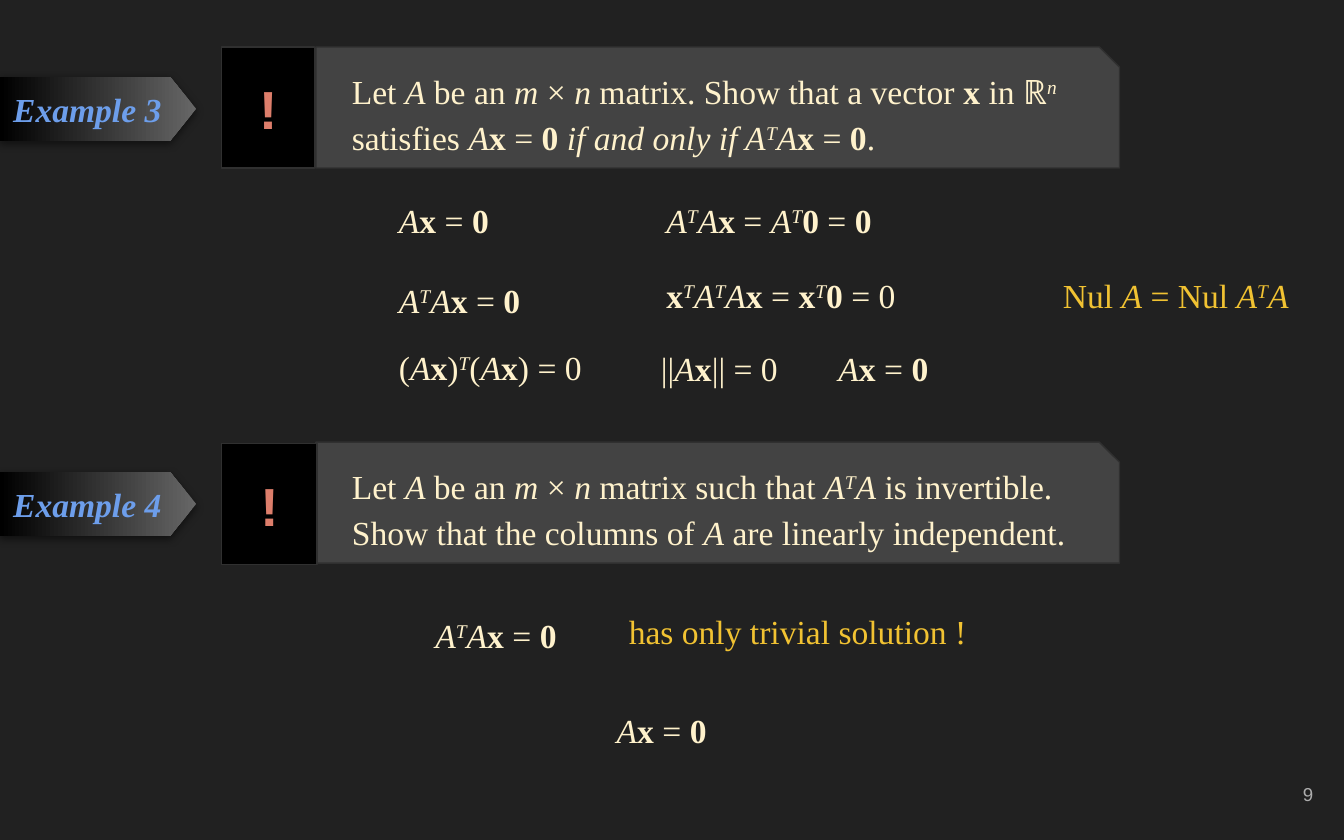
from dataclasses import dataclass
from typing import NamedTuple

import lxml.etree
import pptx
import pptx.dml.color
import pptx.enum.shapes
import pptx.enum.text
import pptx.oxml.ns
import pptx.util

Inches = pptx.util.Inches
Pt = pptx.util.Pt
qn = pptx.oxml.ns.qn
Shapes = pptx.enum.shapes.MSO_SHAPE
Align = pptx.enum.text.PP_ALIGN
Anchor = pptx.enum.text.MSO_ANCHOR

COLORS = {
    "background": "212121",
    "panel": "434343",
    "outline": "303030",
    "black": "000000",
    "tag_tip": "666666",
    "tag_text": "6D9EEB",
    "badge_text": "DD7E6B",
    "body": "FFF2CC",
    "highlight": "F1C232",
    "number": "ADADAD",
}
SERIF = "Times New Roman"


class Run(NamedTuple):
    text: str
    bold: bool = False
    italic: bool = False
    raised: bool = False


class Box(NamedTuple):
    left: float
    top: float
    width: float
    height: float


@dataclass
class Style:
    size: float = 18
    font: str = SERIF
    color: str = "body"
    align: Align = Align.LEFT
    anchor: Anchor = Anchor.TOP
    line_spacing: float = 1.0


@dataclass
class Example:
    label: str
    top: float
    badge: Box
    statement: list[Run]


@dataclass
class Note:
    box: Box
    runs: list[Run]
    color: str = "body"


A = Run("A", italic=True)
T = Run("T", italic=True, raised=True)
X = Run("x", bold=True)
ZERO = Run("0", bold=True)
EQUALS = Run(" = ")
AX_ZERO = [A, X, EQUALS, ZERO]
ATAX_ZERO = [A, T, *AX_ZERO]
MATRIX_INTRO = [
    Run("Let "), A, Run(" be an "), Run("m", italic=True), Run(" × "), Run("n ", italic=True),
]

EXAMPLES = [
    Example("Example 3", 0.35, Box(1.65, 0.35, 0.69, 0.9), [
        *MATRIX_INTRO, Run("matrix. Show that a vector "), X, Run(" in ℝ"),
        Run("n", italic=True, raised=True), Run(" satisfies "), *AX_ZERO,
        Run(" if and only if ", italic=True), *ATAX_ZERO, Run("."),
    ]),
    Example("Example 4", 3.29, Box(1.65, 3.3, 0.71, 0.9), [
        *MATRIX_INTRO, Run("matrix such that "), A, T, A,
        Run(" is invertible. Show that the columns of "), A,
        Run(" are linearly independent."),
    ]),
]

NOTES = [
    Note(Box(2.87, 1.34, 1.14, 0.59), AX_ZERO),
    Note(Box(4.86, 1.34, 2.11, 0.59), [A, T, A, X, EQUALS, A, T, ZERO, EQUALS, ZERO]),
    Note(Box(2.87, 1.94, 1.56, 0.7), ATAX_ZERO),
    Note(Box(4.86, 1.9, 2.06, 0.7), [X, T, A, T, A, X, EQUALS, X, T, ZERO, Run(" = 0")]),
    Note(Box(2.87, 2.44, 1.83, 0.64), [Run("("), A, X, Run(")"), T, Run("("), A, X, Run(") = 0")]),
    Note(Box(4.82, 2.44, 1.3, 0.59), [Run("||"), A, X, Run("|| = 0")]),
    Note(Box(6.14, 2.44, 1.3, 0.59), AX_ZERO),
    Note(Box(3.14, 4.43, 1.35, 0.67), ATAX_ZERO),
    Note(Box(4.49, 5.14, 1.35, 0.67), AX_ZERO),
    Note(Box(4.58, 4.4, 3.95, 0.59), [Run("has only trivial solution !")], "highlight"),
    Note(Box(7.81, 1.9, 2.14, 0.55), [Run("Nul "), A, Run(" = Nul "), A, T, A], "highlight"),
]


def rgb(name: str) -> pptx.dml.color.RGBColor:
    return pptx.dml.color.RGBColor.from_string(COLORS[name])


def write_text(shape, runs: list[Run], style: Style) -> None:
    frame = shape.text_frame
    frame.word_wrap = True
    frame.vertical_anchor = style.anchor
    frame.margin_left = frame.margin_right = Inches(0.1)
    frame.margin_top = frame.margin_bottom = Inches(0.1)
    paragraph = frame.paragraphs[0]
    paragraph.alignment = style.align
    paragraph.line_spacing = style.line_spacing
    for part in runs:
        run = paragraph.add_run()
        run.text = part.text
        run.font.name = style.font
        run.font.size = Pt(style.size)
        run.font.bold = part.bold
        run.font.italic = part.italic
        run.font.color.rgb = rgb(style.color)
        if part.raised:
            run._r.get_or_add_rPr().set("baseline", "30000")


def add_text(slide, box: Box, runs: list[Run], style: Style) -> None:
    shape = slide.shapes.add_textbox(*map(Inches, box))
    write_text(shape, runs, style)


def add_outlined(slide, kind: Shapes, box: Box, fill: str):
    shape = slide.shapes.add_shape(kind, *map(Inches, box))
    shape.shadow.inherit = False
    shape.fill.solid()
    shape.fill.fore_color.rgb = rgb(fill)
    shape.line.color.rgb = rgb("outline")
    shape.line.width = Pt(0.75)
    return shape


def add_tag(slide, label: str, top: float) -> None:
    shape = slide.shapes.add_shape(Shapes.PENTAGON, *map(Inches, Box(0, top, 1.46, 0.48)))
    shape.adjustments[0] = 0.407
    shape.fill.gradient()
    shape.fill.gradient_angle = 180
    for stop, color, position in zip(shape.fill.gradient_stops, ("tag_tip", "black"), (0, 1)):
        stop.color.rgb = rgb(color)
        stop.position = position
    shape.line.fill.background()
    shape.shadow.inherit = False
    effects = shape.element.spPr.find(qn("a:effectLst"))
    shadow = lxml.etree.SubElement(
        effects, qn("a:outerShdw"), blurRad=str(Pt(4.5)), dist=str(Pt(1.5)),
        dir="5400000", algn="bl", rotWithShape="0",
    )
    color = lxml.etree.SubElement(shadow, qn("a:srgbClr"), val=COLORS["black"])
    lxml.etree.SubElement(color, qn("a:alpha"), val="50000")
    write_text(shape, [Run(label, bold=True, italic=True)],
               Style(color="tag_text", anchor=Anchor.MIDDLE))


def add_example(slide, example: Example) -> None:
    panel = add_outlined(slide, Shapes.SNIP_1_RECTANGLE,
                         Box(2.35, example.top, 5.98, 0.9), "panel")
    panel.adjustments[0] = 0.167
    add_tag(slide, example.label, example.top + 0.22)
    add_text(slide, Box(2.52, example.top + 0.03, 5.76, 0.83), example.statement,
             Style(line_spacing=1.15))
    badge = add_outlined(slide, Shapes.RECTANGLE, example.badge, "black")
    write_text(badge, [Run("!", bold=True)],
               Style(30, "Courier New", "badge_text", Align.CENTER, Anchor.MIDDLE))


def main() -> None:
    presentation = pptx.Presentation()
    presentation.slide_width = Inches(10)
    presentation.slide_height = Inches(6.25)
    slide = presentation.slides.add_slide(presentation.slide_layouts[6])
    slide.background.fill.solid()
    slide.background.fill.fore_color.rgb = rgb("background")
    for example in EXAMPLES:
        add_example(slide, example)
    for note in NOTES:
        add_text(slide, note.box, note.runs, Style(color=note.color, line_spacing=1.15))
    add_text(slide, Box(9.27, 5.67, 0.6, 0.48), [Run("9")],
             Style(10, "Arial", "number", Align.RIGHT, Anchor.MIDDLE))
    presentation.save("out.pptx")


if __name__ == "__main__":
    main()
